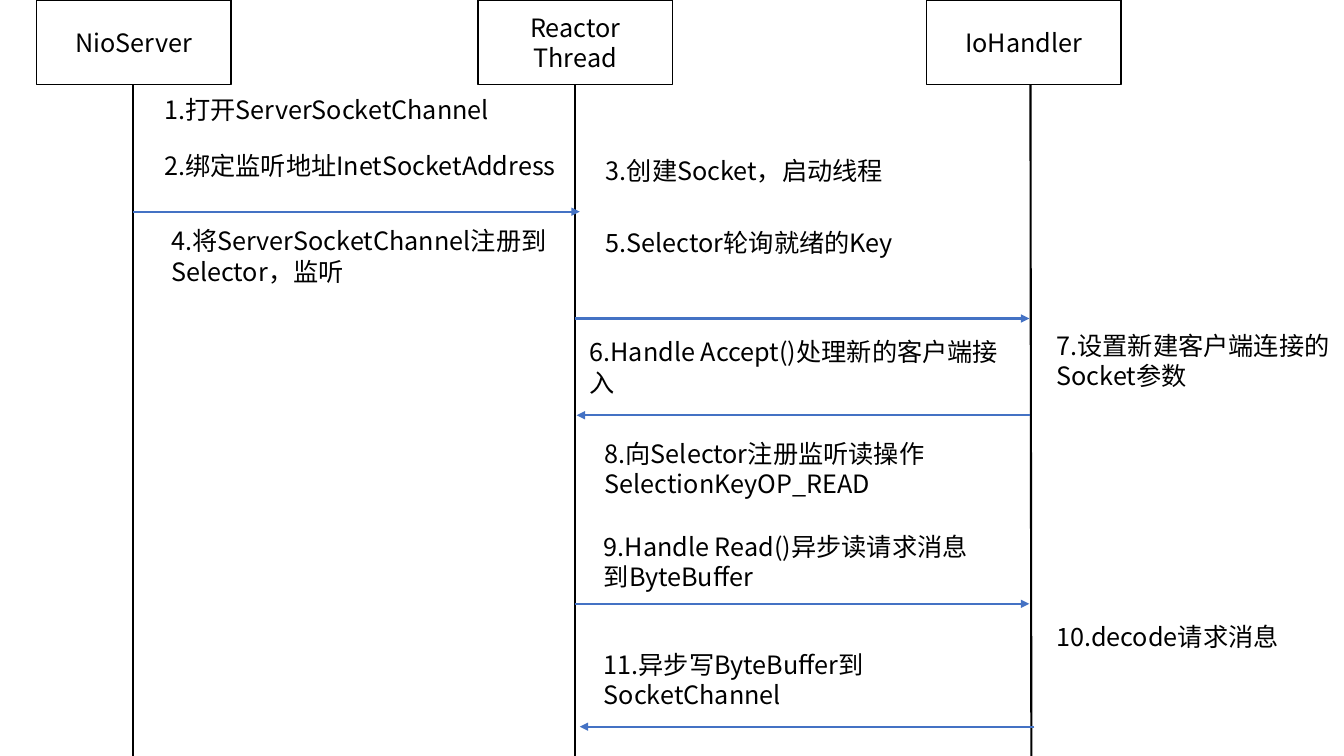
"""Builds a sequence diagram of a non-blocking server, laid out in percent of the slide."""
from typing import NamedTuple

from lxml.etree import SubElement
from pptx import Presentation
from pptx.dml.color import RGBColor
from pptx.enum.shapes import MSO_CONNECTOR, MSO_SHAPE
from pptx.enum.text import MSO_ANCHOR, PP_ALIGN
from pptx.oxml.ns import qn
from pptx.shapes.connector import Connector
from pptx.text.text import TextFrame
from pptx.util import Inches, Pt

COLORS = {"ink": "000000", "paper": "FFFFFF", "message": "4472C4"}
FONT = "Noto Sans CJK SC"
WIDTH, HEIGHT = Inches(13.33), Inches(7.5)
HEAD_WIDTH, HEAD_HEIGHT = 14.48, 11.2
LINE_HEIGHTS = {1: 5.33, 2: 9.47}


class Participant(NamedTuple):
    name: str
    left: float
    lifeline_top: float
    lifeline_bottom: float


class Message(NamedTuple):
    start: float
    end: float
    row: float


class Step(NamedTuple):
    text: str
    left: float
    top: float
    width: float
    lines: int = 1


PARTICIPANTS = [
    Participant("NioServer", 2.7, 9.9, 9.9),
    Participant("Reactor Thread", 35.56, 42.76, 42.76),
    Participant("IoHandler", 68.94, 76.67, 76.74),
]
SERVER, REACTOR, HANDLER = (each.lifeline_top for each in PARTICIPANTS)
MESSAGES = [
    Message(SERVER, 43.14, 28),
    Message(REACTOR, 76.59, 42.13),
    Message(HANDLER, 42.91, 54.93),
    Message(REACTOR, 76.59, 79.87),
    Message(76.97, 43.14, 96.13),
]
STEPS = [
    Step("1.打开ServerSocketChannel", 11.48, 11.87, 26.93),
    Step("2.绑定监听地址InetSocketAddress", 11.48, 19.2, 31.66),
    Step("3.创建Socket，启动线程", 44.34, 19.87, 31.66),
    Step("4.将ServerSocketChannel注册到Selector，监听", 12, 29.2, 31.66, 2),
    Step("5.Selector轮询就绪的Key", 44.34, 29.47, 31.66),
    Step("6.Handle Accept()处理新的客户端接入", 43.14, 43.87, 33.08, 2),
    Step("7.设置新建客户端连接的Socket参数", 77.87, 43.07, 23.56, 2),
    Step("8.向Selector注册监听读操作SelectionKeyOP_READ", 44.26, 57.33, 29.93, 2),
    Step("9.Handle Read()异步读请求消息到ByteBuffer", 44.19, 69.6, 29.93, 2),
    Step("10.decode请求消息", 77.87, 81.47, 22.1),
    Step("11.异步写ByteBuffer到SocketChannel", 44.19, 85.2, 29.93, 2),
]


def color(name: str) -> RGBColor:
    """Look up a palette colour."""
    return RGBColor.from_string(COLORS[name])


def across(share: float) -> int:
    """Turn a percentage of the slide width into a length."""
    return round(WIDTH * share / 100)


def down(share: float) -> int:
    """Turn a percentage of the slide height into a length."""
    return round(HEIGHT * share / 100)


def write(frame: TextFrame, text: str) -> None:
    """Write one wrapped run in the diagram's font."""
    frame.word_wrap = True
    run = frame.paragraphs[0].add_run()
    run.text = text
    run.font.size = Pt(18)
    run.font.name = FONT
    run.font.color.rgb = color("ink")
    SubElement(run.font._element, qn("a:ea"), typeface=FONT)


def draw_line(start: tuple[float, float], end: tuple[float, float], ink: str) -> Connector:
    """Draw a straight line between two points without a shadow."""
    line = slide.shapes.add_connector(
        MSO_CONNECTOR.STRAIGHT, across(start[0]), down(start[1]), across(end[0]), down(end[1]))
    line.line.color.rgb = color(ink)
    line.line.width = Pt(1.5)
    SubElement(line._element.spPr, qn("a:effectLst"))
    return line


def draw_participant(participant: Participant) -> None:
    """Draw a participant's head and its lifeline."""
    head = slide.shapes.add_shape(
        MSO_SHAPE.RECTANGLE, across(participant.left), 0, across(HEAD_WIDTH), down(HEAD_HEIGHT))
    head.shadow.inherit = False
    head.fill.solid()
    head.fill.fore_color.rgb = color("paper")
    head.line.color.rgb = color("ink")
    head.line.width = Pt(1)
    head.text_frame.vertical_anchor = MSO_ANCHOR.MIDDLE
    head.text_frame.paragraphs[0].alignment = PP_ALIGN.CENTER
    write(head.text_frame, participant.name)
    draw_line((participant.lifeline_top, HEAD_HEIGHT), (participant.lifeline_bottom, 100), "ink")


def draw_message(message: Message) -> None:
    """Draw a horizontal arrow between lifelines."""
    arrow = draw_line((message.start, message.row), (message.end, message.row), "message")
    SubElement(arrow.line._get_or_add_ln(), qn("a:tailEnd"), type="triangle")


def draw_step(step: Step) -> None:
    """Write one numbered step."""
    box = slide.shapes.add_textbox(
        across(step.left), down(step.top), across(step.width), down(LINE_HEIGHTS[step.lines]))
    write(box.text_frame, step.text)


deck = Presentation()
deck.slide_width, deck.slide_height = WIDTH, HEIGHT
slide = deck.slides.add_slide(deck.slide_layouts[6])
for participant in PARTICIPANTS:
    draw_participant(participant)
for message in MESSAGES:
    draw_message(message)
for step in STEPS:
    draw_step(step)
deck.save("out.pptx")
